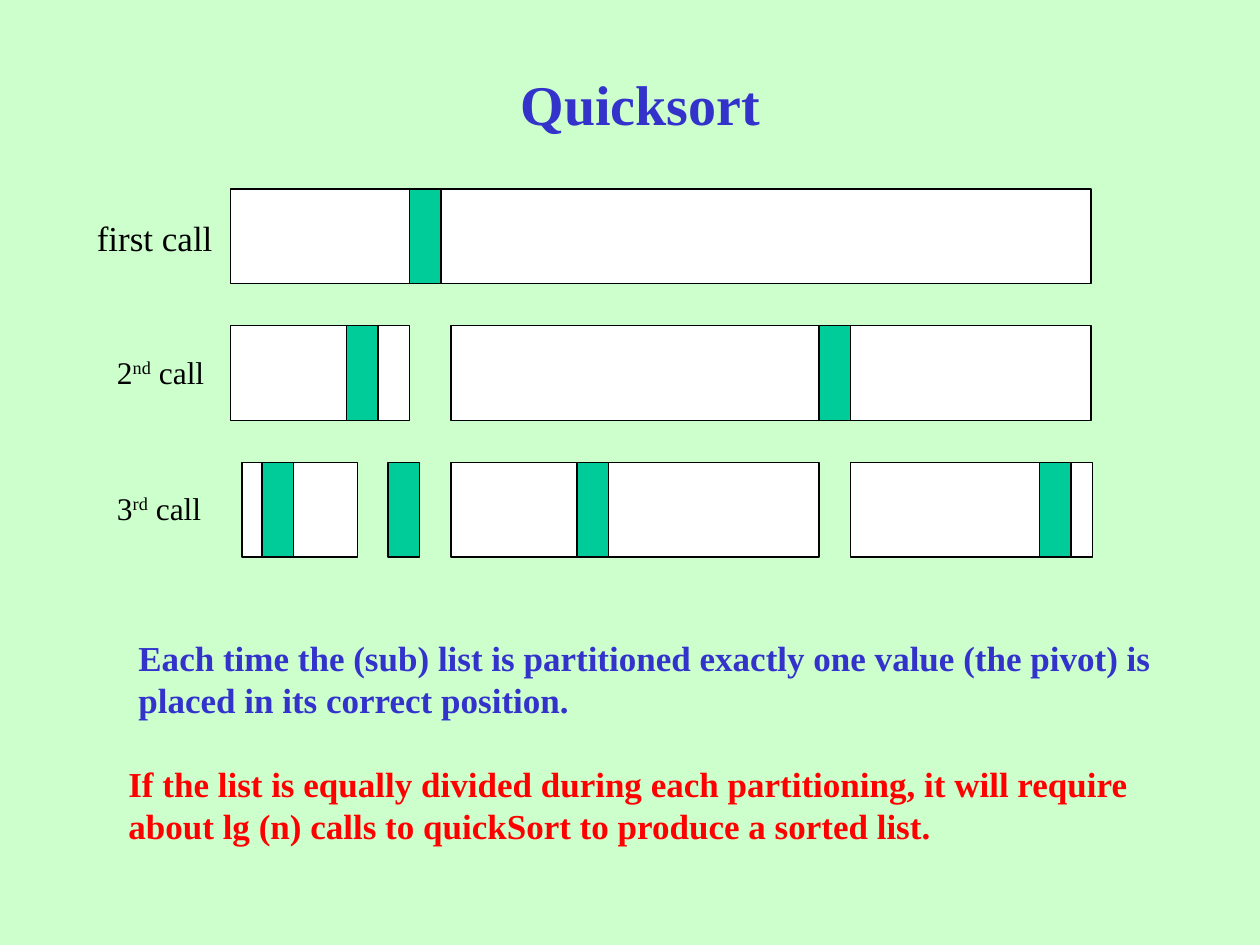
from typing import NamedTuple

from pptx import Presentation
from pptx.dml.color import RGBColor as Rgb
from pptx.enum.shapes import MSO_SHAPE as Kind
from pptx.enum.text import MSO_ANCHOR as Anchor, PP_ALIGN as Align
from pptx.slide import Slide
from pptx.util import Inches, Pt

COLORS = {
    "back": "CCFFCC", "list": "FFFFFF", "pivot": "00CC99",
    "ink": "000000", "blue": "3333CC", "red": "FF0000",
}
FONT = "Times New Roman"
TOP, PITCH, HIGH, PIVOT = 1.5, 1.085, 0.75, 0.25


class Part(NamedTuple):
    """A sublist, with the left edge of its pivot."""
    left: float
    width: float
    pivot: float


class Label(NamedTuple):
    """The name of a call, with an optional raised suffix."""
    left: float
    top: float
    size: int
    runs: tuple[str, ...]


CALLS = [
    [Part(1.83, 6.83, 3.25)],
    [Part(1.83, 1.42, 2.75), Part(3.58, 5.08, 6.5)],
    [Part(1.92, 0.92, 2.08), Part(3.08, PIVOT, 3.08),
     Part(3.58, 2.92, 4.58), Part(6.75, 1.92, 8.25)],
]
LABELS = [
    Label(0.67, 1.67, 20, ("first call",)),
    Label(0.83, 2.75, 18, ("2", "nd", " call")),
    Label(0.83, 3.83, 18, ("3", "rd", " call")),
]


def color(name: str) -> Rgb:
    """Look up a colour by name."""
    return Rgb.from_string(COLORS[name])


def add_bar(slide: Slide, left: float, top: float, width: float, fill: str) -> None:
    """Draw one outlined bar."""
    bar = slide.shapes.add_shape(
        Kind.RECTANGLE, Inches(left), Inches(top), Inches(width), Inches(HIGH))
    bar.shadow.inherit = False
    bar.fill.solid()
    bar.fill.fore_color.rgb = color(fill)
    bar.line.color.rgb = color("ink")
    bar.line.width = Pt(0.75)


def add_part(slide: Slide, part: Part, top: float) -> None:
    """Draw a sublist and its pivot."""
    if part.width > PIVOT:
        add_bar(slide, part.left, top, part.width, "list")
    add_bar(slide, part.pivot, top, PIVOT, "pivot")


def add_text(slide: Slide, *runs: str, left: float, top: float, width: float,
             height: float, size: int = 20, ink: str = "ink",
             bold: bool = False, align: Align = Align.LEFT) -> None:
    """Write one paragraph whose second run, if any, is raised."""
    box = slide.shapes.add_textbox(
        Inches(left), Inches(top), Inches(width), Inches(height))
    frame = box.text_frame
    frame.word_wrap = True
    frame.vertical_anchor = Anchor.TOP
    para = frame.paragraphs[0]
    para.alignment = align
    for index, words in enumerate(runs):
        run = para.add_run()
        run.text = words
        font = run.font
        font.name, font.size, font.bold = FONT, Pt(size), bold
        font.color.rgb = color(ink)
        if index == 1:
            run._r.get_or_add_rPr().set("baseline", "30000")


def main() -> None:
    """Build and save the slide."""
    deck = Presentation()
    deck.slide_width, deck.slide_height = Inches(10), Inches(7.5)
    slide = deck.slides.add_slide(deck.slide_layouts[6])
    slide.background.fill.solid()
    slide.background.fill.fore_color.rgb = color("back")

    add_text(slide, "Quicksort", left=1.67, top=0.5, width=6.83, height=0.64,
             size=32, ink="blue", bold=True, align=Align.CENTER)
    for row, parts in enumerate(CALLS):
        for part in parts:
            add_part(slide, part, TOP + row * PITCH)
    for label in LABELS:
        add_text(slide, *label.runs, left=label.left, top=label.top,
                 width=1.25, height=0.4, size=label.size)
    add_text(slide, "Each time the (sub) list is partitioned exactly one value "
             "(the pivot) is placed in its correct position.",
             left=1, top=5, width=9, height=0.77, ink="blue", bold=True)
    add_text(slide, "If the list is equally divided during each partitioning, "
             "it will require about lg (n) calls to quickSort to produce "
             "a sorted list.",
             left=0.92, top=6, width=8.75, height=0.77, ink="red", bold=True)
    deck.save("out.pptx")


if __name__ == "__main__":
    main()
